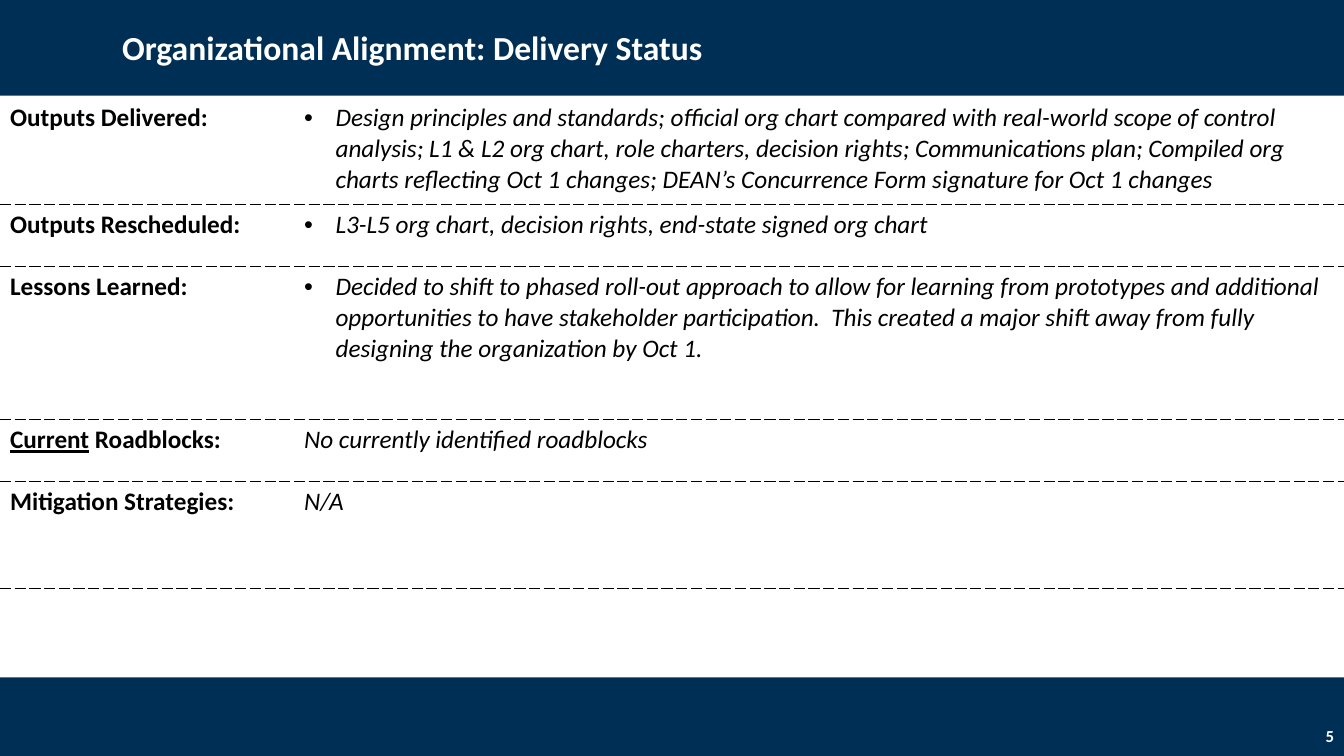
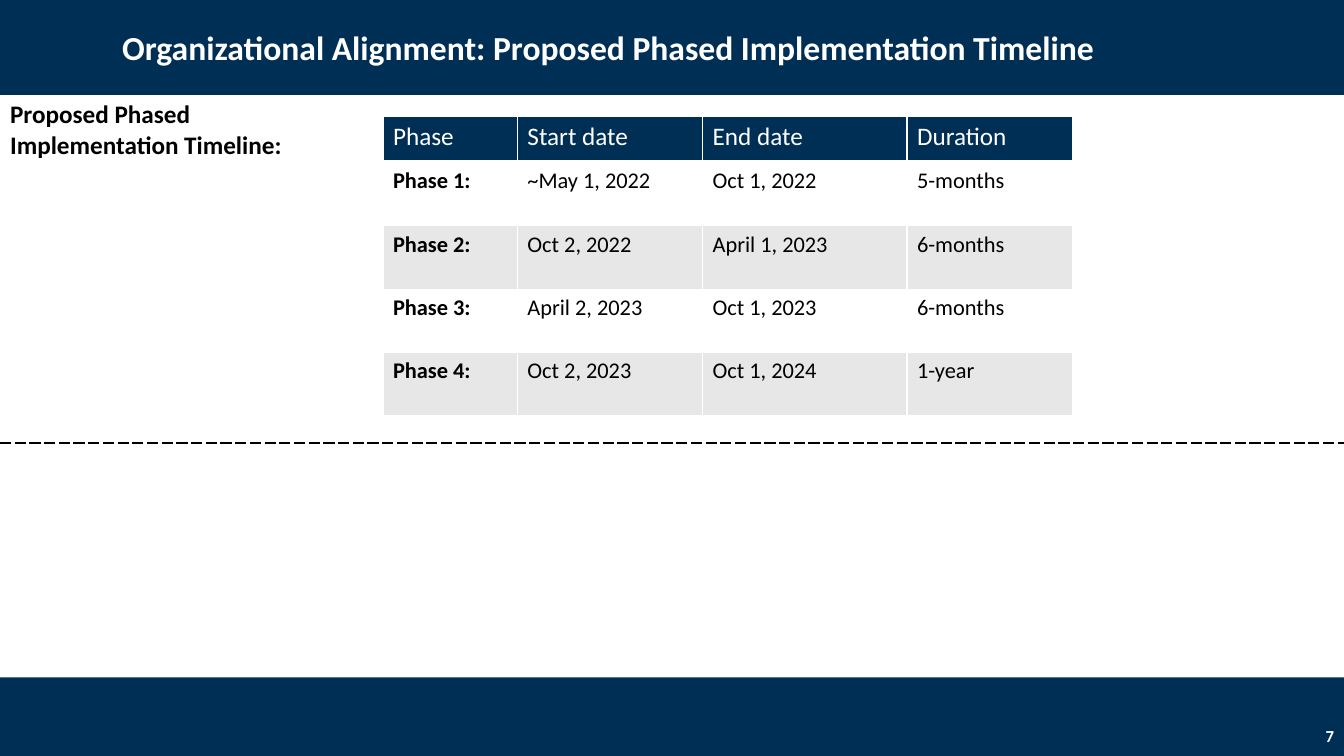
from itertools import accumulate

from lxml import etree
from pptx import Presentation
from pptx.dml.color import RGBColor
from pptx.enum.shapes import MSO_SHAPE
from pptx.enum.text import MSO_ANCHOR, MSO_AUTO_SIZE, PP_ALIGN
from pptx.oxml.ns import qn
from pptx.util import Pt

RECTANGLE = MSO_SHAPE.RECTANGLE
MIDDLE = MSO_ANCHOR.MIDDLE
NO_AUTOFIT = MSO_AUTO_SIZE.NONE
LEFT, RIGHT = PP_ALIGN.LEFT, PP_ALIGN.RIGHT

COLORS = {"navy": "002F56", "white": "FFFFFF", "black": "000000", "gray": "E7E7E7"}
FONT = "Calibri"
SLIDE_WIDTH, SLIDE_HEIGHT = 960, 540
BANDS = [(0, 0, SLIDE_WIDTH, 68.4), (0, 483.8, SLIDE_WIDTH, 56.2)]
TITLE_BOX = (80, 8.6, 828, 53.3)
NUMBER_BOX = (744, 511.2, 216, 28.8)
TITLE_ONLY = 5
PLAIN_TABLE_STYLE = "{2D5ABB26-0587-4C30-8999-92F81FD0307C}"
BULLET_INDENT = 22.5
STATUS_COLUMNS = [210, 750]

FORMATS = {
    "title": {"size": 24, "color": "white", "bold": True},
    "number": {"size": 12, "color": "white", "bold": True},
    "label": {"size": 18, "color": "black", "bold": True},
    "underlined": {"size": 18, "color": "black", "bold": True, "underline": True},
    "detail": {"size": 18, "color": "black", "bold": False, "italic": True},
    "header": {"size": 18, "color": "white", "bold": False},
    "phase": {"size": 16, "color": "black", "bold": True},
    "date": {"size": 16, "color": "black", "bold": False},
}

DASHED_BOTTOM = {"B": ("black", 1, "dash")}
GRID = {side: ("white", 1, "solid") for side in "LRTB"}
HEADER_GRID = {**GRID, "B": ("white", 3, "solid")}

DELIVERY_ROWS = [
    (76.5, [("Outputs Delivered:", "label")],
     "Design principles and standards; official org chart compared with real-world "
     "scope of control analysis; L1 & L2 org chart, role charters, decision rights; "
     "Communications plan; Compiled org charts reflecting Oct 1 changes; DEAN’s "
     "Concurrence Form signature for Oct 1 changes", True),
    (44.3, [("Outputs Rescheduled:", "label")],
     "L3-L5 org chart, decision rights, end-state signed org chart", True),
    (109.3, [("Lessons Learned:", "label")],
     "Decided to shift to phased roll-out approach to allow for learning from "
     "prototypes and additional opportunities to have stakeholder participation.  "
     "This created a major shift away from fully designing the organization by "
     "Oct 1.", True),
    (44.3, [("Current", "underlined"), (" Roadblocks:", "label")],
     "No currently identified roadblocks", False),
    (76.5, [("Mitigation Strategies:", "label")], "N/A", False),
]

PHASES = [
    ("Phase", "Start date", "End date", "Duration"),
    ("Phase 1:", "~May 1, 2022", "Oct 1, 2022", "5-months"),
    ("Phase 2:", "Oct 2, 2022", "April 1, 2023", "6-months"),
    ("Phase 3:", "April 2, 2023", "Oct 1, 2023", "6-months"),
    ("Phase 4:", "Oct 2, 2023", "Oct 1, 2024", "1-year"),
]


def rgb(name):
    """Return the named palette colour."""
    return RGBColor.from_string(COLORS[name])


def points(box):
    """Convert a box given in points to lengths."""
    return [Pt(value) for value in box]


def write_runs(paragraph, runs):
    """Add text runs, each with a named format."""
    for text, format_name in runs:
        run = paragraph.add_run()
        run.text = text
        values = dict(FORMATS[format_name])
        run.font.color.rgb = rgb(values.pop("color"))
        values.update(name=FONT, size=Pt(values["size"]))
        for attribute, value in values.items():
            setattr(run.font, attribute, value)


def add_bullet(paragraph):
    """Give a paragraph a round bullet and a hanging indent."""
    properties = paragraph._p.get_or_add_pPr()
    properties.set("marL", str(Pt(BULLET_INDENT)))
    properties.set("indent", str(-Pt(BULLET_INDENT)))
    etree.SubElement(properties, qn("a:buFont"), typeface="Arial")
    etree.SubElement(properties, qn("a:buChar"), char="•")


def style_cell(cell, fill, borders):
    """Set the borders and fill of a table cell."""
    properties = cell._tc.get_or_add_tcPr()
    for side, (color, width, dash) in borders.items():
        line = etree.SubElement(properties, qn(f"a:ln{side}"), w=str(Pt(width)))
        solid = etree.SubElement(line, qn("a:solidFill"))
        etree.SubElement(solid, qn("a:srgbClr"), val=COLORS[color])
        etree.SubElement(line, qn("a:prstDash"), val=dash)
    cell.fill.solid()
    cell.fill.fore_color.rgb = rgb(fill)


def add_plain_table(slide, left, top, widths, heights):
    """Add an unstyled table with the given column widths and row heights."""
    box = points((left, top, sum(widths), sum(heights)))
    frame = slide.shapes.add_table(len(heights), len(widths), *box)
    next(frame.element.iter(qn("a:tableStyleId"))).text = PLAIN_TABLE_STYLE
    table = frame.table
    for column, width in zip(table.columns, widths):
        column.width = Pt(width)
    for row, height in zip(table.rows, heights):
        row.height = Pt(height)
    return table


def move_bands_to_layout(slide):
    """Draw the header and footer bands and place them on the layout."""
    layout_tree = slide.slide_layout.shapes.element
    for position, box in enumerate(BANDS, start=2):
        band = slide.shapes.add_shape(RECTANGLE, *points(box))
        band.shadow.inherit = False
        band.fill.solid()
        band.fill.fore_color.rgb = rgb("navy")
        band.line.fill.background()
        layout_tree.insert(position, band.element)


def write_line(shape, box, text, format_name, alignment):
    """Place a shape and write one vertically centred line in it."""
    shape.left, shape.top, shape.width, shape.height = points(box)
    frame = shape.text_frame
    for attribute, value in {"word_wrap": True, "auto_size": NO_AUTOFIT,
                             "vertical_anchor": MIDDLE}.items():
        setattr(frame, attribute, value)
    paragraph = frame.paragraphs[0]
    paragraph.alignment = alignment
    write_runs(paragraph, [(text, format_name)])
    return paragraph


def add_titled_slide(presentation, title, number):
    """Add a slide with its title and page number."""
    slide = presentation.slides.add_slide(presentation.slide_layouts[TITLE_ONLY])
    heading = write_line(slide.shapes.title, TITLE_BOX, title, "title", LEFT)
    heading.line_spacing = 0.9
    number_box = slide.shapes.add_textbox(*points(NUMBER_BOX))
    write_line(number_box, NUMBER_BOX, str(number), "number", RIGHT)
    return slide


def add_status_table(slide, top, rows):
    """Add full-width rows of a label and a detail with dashed rules."""
    table = add_plain_table(slide, 0, top, STATUS_COLUMNS, [row[0] for row in rows])
    for cells, (_, label, detail, bulleted) in zip(table.rows, rows):
        label_cell, detail_cell = cells.cells
        for cell in (label_cell, detail_cell):
            style_cell(cell, "white", DASHED_BOTTOM)
        write_runs(label_cell.text_frame.paragraphs[0], label)
        paragraph = detail_cell.text_frame.paragraphs[0]
        if bulleted:
            add_bullet(paragraph)
        if detail:
            write_runs(paragraph, [(detail, "detail")])


def add_phase_table(slide, left, top):
    """Add the banded table of phases and their dates."""
    heights = [33] + [45.3] * (len(PHASES) - 1)
    table = add_plain_table(slide, left, top, [96, 132.3, 146, 118], heights)
    for row, values in enumerate(PHASES):
        fill = "navy" if row == 0 else ("gray", "white")[row % 2]
        for column, text in enumerate(values):
            cell = table.cell(row, column)
            style_cell(cell, fill, GRID if row else HEADER_GRID)
            body_format = "date" if column else "phase"
            write_runs(cell.text_frame.paragraphs[0],
                       [(text, body_format if row else "header")])


def main():
    """Build and save the presentation."""
    presentation = Presentation()
    presentation.slide_width = Pt(SLIDE_WIDTH)
    presentation.slide_height = Pt(SLIDE_HEIGHT)

    delivery = add_titled_slide(
        presentation, "Organizational Alignment: Delivery Status", 5)
    move_bands_to_layout(delivery)
    add_status_table(delivery, 69.8, DELIVERY_ROWS)

    timeline = add_titled_slide(
        presentation,
        "Organizational Alignment: Proposed Phased Implementation Timeline", 7)
    timeline_label = [("Proposed Phased Implementation Timeline:", "label")]
    add_status_table(timeline, 67.7, [(248.7, timeline_label, "", False)])
    add_phase_table(timeline, 273.6, 82.9)

    presentation.save("out.pptx")


if __name__ == "__main__":
    main()
